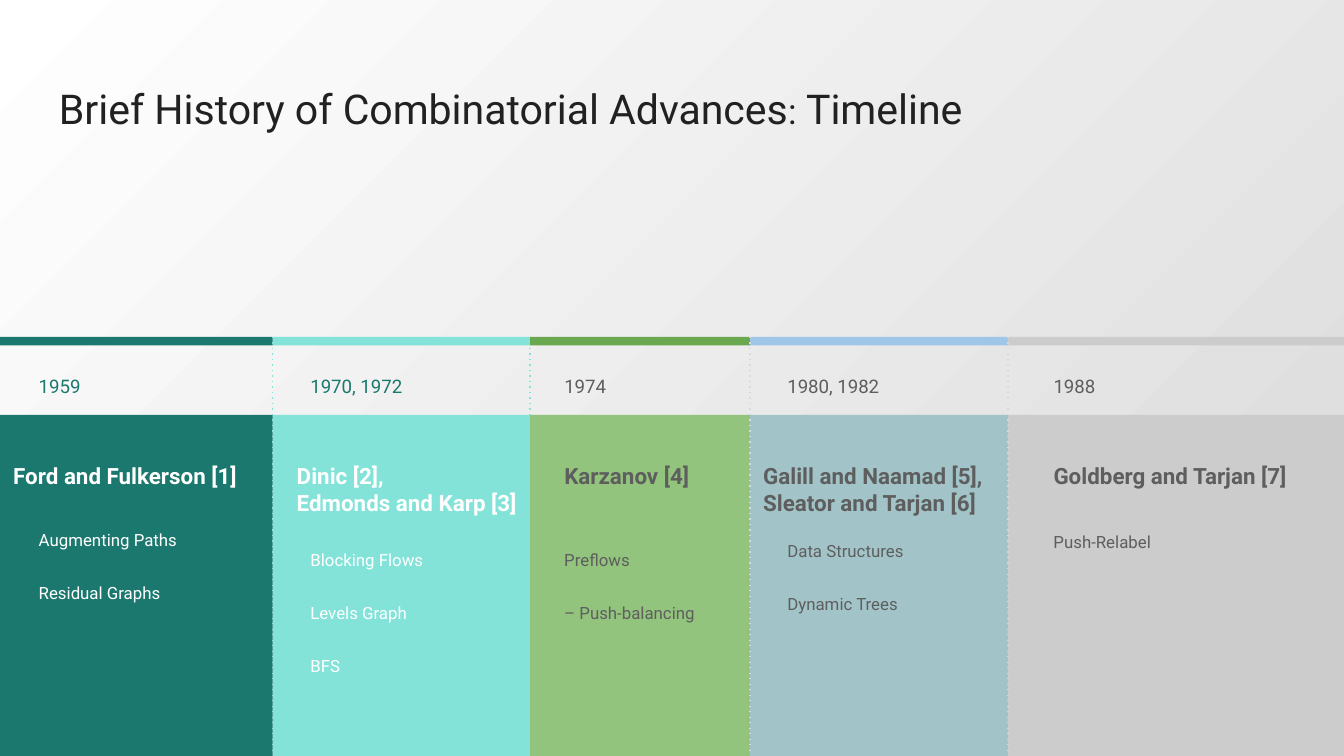
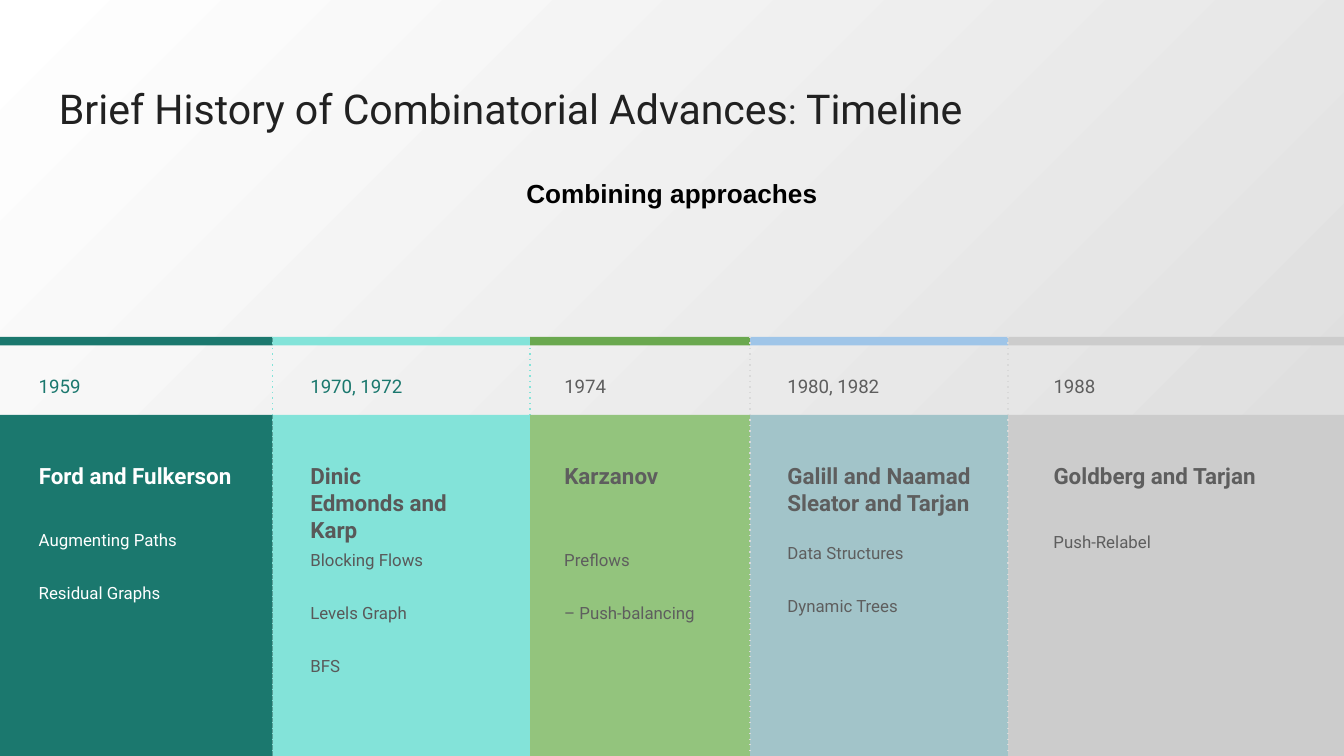
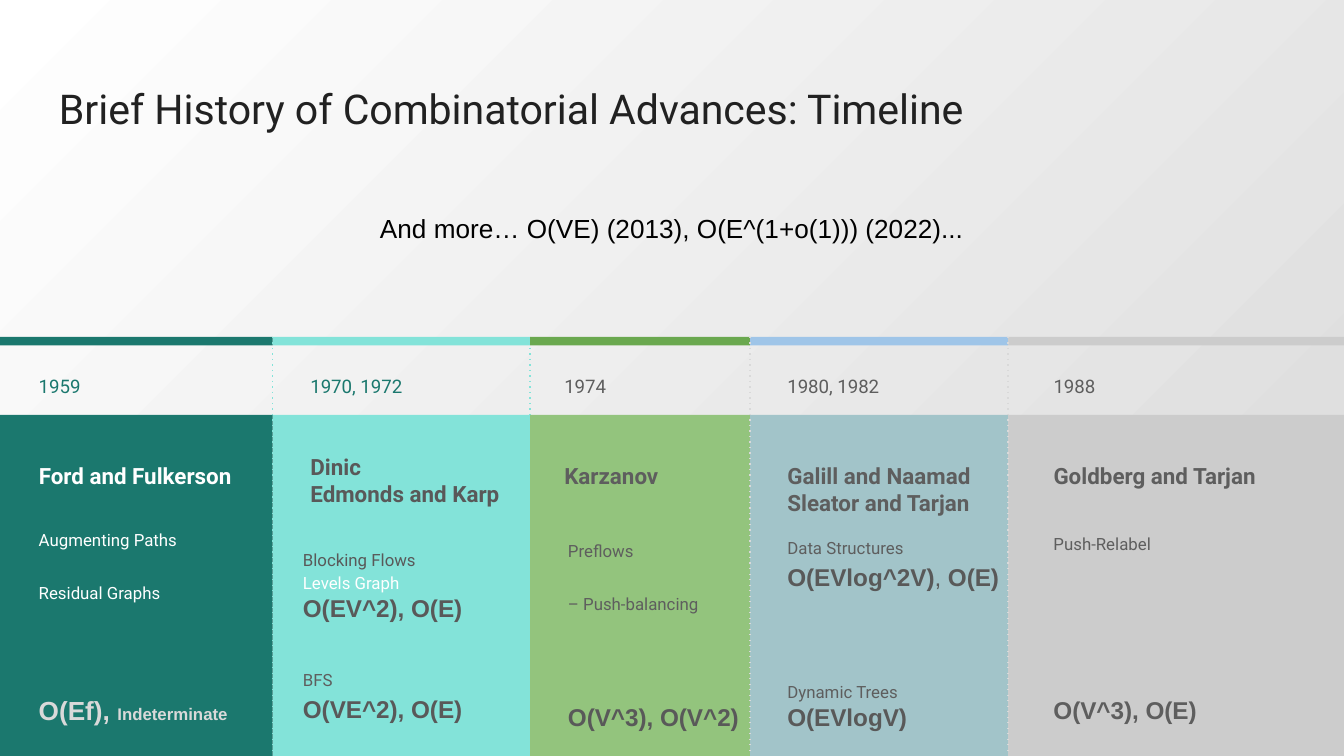
from dataclasses import dataclass, field

from pptx import Presentation
from pptx.dml.color import RGBColor
from pptx.enum import dml, shapes, text
from pptx.oxml.ns import qn
from pptx.util import Pt

COLORS = {
    "white": "FFFFFF", "black": "000000", "title": "212121", "ink": "5E5E5E",
    "dark": "595959", "pale": "D9D9D9", "teal": "1B786E", "aqua": "83E3D9",
    "leaf": "6AA84F", "green": "93C47D", "sky": "9FC5E8", "mist": "A2C4C9",
    "silver": "CCCCCC",
}
WIDTH, HEIGHT = 720, 405
BAND_TOP, BAR_HEIGHT, PANEL_TOP = 180.5, 4.5, 222.3
YEAR_TOP, NAME_TOP = 192.2, 240.5
INSET = 7.2


@dataclass
class Run:
    words: str
    size: float
    color: str
    bold: bool = False
    font: str = "Roboto"


@dataclass
class Line:
    runs: list
    before: float = 0
    spacing: float = 1.15


@dataclass
class Column:
    left: float
    right: float
    panel: str
    bar: str
    year: str
    year_color: str
    year_width: float
    indent: float
    text_width: float
    name_height: float
    detail_top: float
    divider: str = ""


@dataclass
class Entry:
    names: list
    details: list
    name_color: str = "ink"
    name_box: tuple = ()          # indent and width, if not those of the column
    shift: tuple = (0, 0)         # moves the details
    name_rise: float = 0
    detail_bottom: float = field(default=385)


# Columns of the timeline
COLUMNS = {
    "goldberg": Column(540, 720, "silver", "silver", "1988", "ink", 68.4,
                       17.3, 146, 62.6, 277.2),
    "galill": Column(401.75, 540, "mist", "sky", "1980, 1982", "ink", 92,
                     13, 118, 62.6, 281, "pale"),
    "dinic": Column(146, 284, "aqua", "aqua", "1970, 1972", "teal", 111.6,
                    13.2, 111.6, 39.6, 285.8, "aqua"),
    "ford": Column(0, 146, "teal", "teal", "1959", "teal", 55.4,
                   13.7, 118, 28.8, 275, "aqua"),
    "karzanov": Column(284, 401.75, "green", "leaf", "1974", "ink", 44.6,
                       11.2, 96, 62.6, 285.8, "pale"),
}


# Kinds of detail line
def topic(words, color="ink", before=0):
    return Line([Run(words, 9, color)], before)


def topics(color, *names):
    return [topic(name, color, 16 if index else 0) for index, name in enumerate(names)]


def bound_run(words, size=13, color="dark", bold=True):
    return Run(words, size, color, bold, "Arial")


def bound(words, before=0, spacing=1.15, color="dark"):
    return Line([bound_run(words, color=color)], before, spacing)


FORD = ["Augmenting Paths", "Residual Graphs"]
DINIC = ["Blocking Flows", "Levels Graph", "BFS"]
KARZANOV = ["Preflows", "– Push-balancing"]
GALILL = ["Data Structures", "Dynamic Trees"]

CITED = {
    "goldberg": Entry(["Goldberg and Tarjan [7]"], topics("ink", "Push-Relabel")),
    "galill": Entry(["Galill and Naamad [5],", "Sleator and Tarjan [6]"],
                    topics("ink", *GALILL), name_box=(0, 141)),
    "dinic": Entry(["Dinic [2],", "Edmonds and Karp [3]"], topics("white", *DINIC),
                   "white", (5.9, 132.5)),
    "ford": Entry(["Ford and Fulkerson [1]"], topics("white", *FORD), "white", (0, 138.2)),
    "karzanov": Entry(["Karzanov [4]"], topics("ink", *KARZANOV)),
}
COMBINED = {
    "goldberg": Entry(["Goldberg and Tarjan"], topics("ink", "Push-Relabel")),
    "galill": Entry(["Galill and Naamad", "Sleator and Tarjan"],
                    topics("ink", *GALILL), shift=(0, 0.7)),
    "dinic": Entry(["Dinic", "Edmonds and Karp"], topics("dark", *DINIC), "dark"),
    "ford": Entry(["Ford and Fulkerson"], topics("white", *FORD), "white"),
    "karzanov": Entry(["Karzanov"], topics("ink", *KARZANOV)),
}
BOUNDS = {
    "goldberg": Entry(["Goldberg and Tarjan"],
                      topics("ink", "Push-Relabel")
                      + [bound("O(V^3), O(E)", 75.8, 1, "ink")],
                      detail_bottom=399.5),
    "galill": Entry(["Galill and Naamad", "Sleator and Tarjan"],
                    [topic("Data Structures"),
                     Line([bound_run("O(EVlog^2V)"), bound_run(", ", bold=False),
                           bound_run("O(E)")]),
                     topic("Dynamic Trees", before=46.6),
                     bound("O(EVlogV)", spacing=1)],
                    shift=(0, -1.5)),
    "dinic": Entry(["Dinic", "Edmonds and Karp"],
                   [topic("Blocking Flows", "dark"), topic("Levels Graph", "white"),
                    bound("O(EV^2), O(E)", spacing=1),
                    topic("BFS", before=23.5), bound("O(VE^2), O(E)")],
                   "dark", (13.2, 129), (-4, 0), 5, 398),
    "ford": Entry(["Ford and Fulkerson"],
                  topics("white", *FORD)
                  + [Line([bound_run("O(Ef), ", 14, "pale"),
                           bound_run("Indeterminate", 9, "pale")], 46.5)],
                  "white", detail_bottom=409.5),
    "karzanov": Entry(["Karzanov"],
                      topics("ink", *KARZANOV) + [bound("O(V^3), O(V^2)", 45.2)],
                      shift=(2, -5), detail_bottom=399),
}


def rgb(name):
    return RGBColor.from_string(COLORS[name])


# Shared parts
def add_text(container, left, top, width, height, lines,
             align=text.PP_ALIGN.LEFT, anchor=text.MSO_ANCHOR.TOP):
    box = container.add_textbox(Pt(left), Pt(top), Pt(width), Pt(height))
    frame = box.text_frame
    frame.word_wrap = True
    frame.vertical_anchor = anchor
    frame.margin_left = frame.margin_right = Pt(INSET)
    frame.margin_top = frame.margin_bottom = Pt(INSET)
    for index, line in enumerate(lines):
        paragraph = frame.add_paragraph() if index else frame.paragraphs[0]
        paragraph.alignment = align
        paragraph.line_spacing = line.spacing
        paragraph.space_before = Pt(line.before)
        for part in line.runs:
            run = paragraph.add_run()
            run.text = part.words
            run.font.name = part.font
            run.font.size = Pt(part.size)
            run.font.bold = part.bold
            run.font.color.rgb = rgb(part.color)
    return box


def add_block(container, left, top, width, height, color):
    shape = container.add_shape(shapes.MSO_SHAPE.RECTANGLE,
                                Pt(left), Pt(top), Pt(width), Pt(height))
    shape.shadow.inherit = False
    shape.fill.solid()
    shape.fill.fore_color.rgb = rgb(color)
    shape.line.fill.background()


def add_divider(container, left, color):
    connector = container.add_connector(shapes.MSO_CONNECTOR.STRAIGHT,
                                        Pt(left), Pt(BAND_TOP), Pt(left), Pt(HEIGHT - 1))
    connector.line.color.rgb = rgb(color)
    connector.line.width = Pt(0.75)
    connector.line.dash_style = dml.MSO_LINE.ROUND_DOT
    properties = connector._element.spPr
    properties.find(".//" + qn("a:prstDash")).set("val", "dot")
    properties.append(properties.makeelement(qn("a:effectLst"), {}))


# One column: panel, bar, year, names, details, divider
def add_column(slide, column, entry):
    group = slide.shapes.add_group_shape().shapes
    left, width = column.left, column.right - column.left
    text_left = left + column.indent
    add_block(group, left, PANEL_TOP, width, HEIGHT - PANEL_TOP, column.panel)
    add_block(group, left, BAND_TOP, width, BAR_HEIGHT, column.bar)
    add_text(group, text_left, YEAR_TOP, column.year_width, 20,
             [Line([Run(column.year, 10, column.year_color)])])

    name_indent, name_width = entry.name_box or (column.indent, column.text_width)
    add_text(group, left + name_indent, NAME_TOP - entry.name_rise,
             name_width, column.name_height,
             [Line([Run(name, 12, entry.name_color, True)], spacing=1)
              for name in entry.names])

    shift_x, shift_y = entry.shift
    detail_top = column.detail_top + shift_y
    add_text(group, text_left + shift_x, detail_top, column.text_width + 20,
             entry.detail_bottom - detail_top, entry.details)
    if column.divider:
        add_divider(group, column.right, column.divider)


def add_timeline_slide(presentation, title_runs, entries):
    slide = presentation.slides.add_slide(presentation.slide_layouts[6])
    fill = slide.background.fill
    fill.gradient()
    fill.gradient_angle = 315
    for stop, color in zip(fill.gradient_stops, ("white", "pale")):
        stop.color.rgb = rgb(color)
    add_text(slide.shapes, 24.5, 35.3, 671, 45.4, [Line(title_runs, spacing=1)],
             anchor=text.MSO_ANCHOR.MIDDLE)
    for key, column in COLUMNS.items():
        add_column(slide, column, entries[key])
    return slide


def add_remark(slide, top, width, words, bold):
    box = add_text(slide.shapes, (WIDTH - width) / 2, top, width, 31.7,
                   [Line([Run(words, 14, "black", bold, "Arial")], spacing=1)],
                   text.PP_ALIGN.CENTER)
    box.text_frame.auto_size = text.MSO_AUTO_SIZE.SHAPE_TO_FIT_TEXT


def main():
    presentation = Presentation()
    presentation.slide_width, presentation.slide_height = Pt(WIDTH), Pt(HEIGHT)
    split_title = [Run("Brief History of Combinatorial Advances", 22, "title"),
                   Run(":", 18.9, "title"), Run(" Timeline", 22, "title")]
    whole_title = [Run("Brief History of Combinatorial Advances: Timeline", 22, "title")]

    add_timeline_slide(presentation, split_title, CITED)
    combined = add_timeline_slide(presentation, split_title, COMBINED)
    add_remark(combined, 87.8, 596, "Combining approaches", True)
    bounds = add_timeline_slide(presentation, whole_title, BOUNDS)
    add_remark(bounds, 106.6, 410,
               "And more… O(VE) (2013), O(E^(1+o(1))) (2022)...", False)
    presentation.save("out.pptx")


if __name__ == "__main__":
    main()
